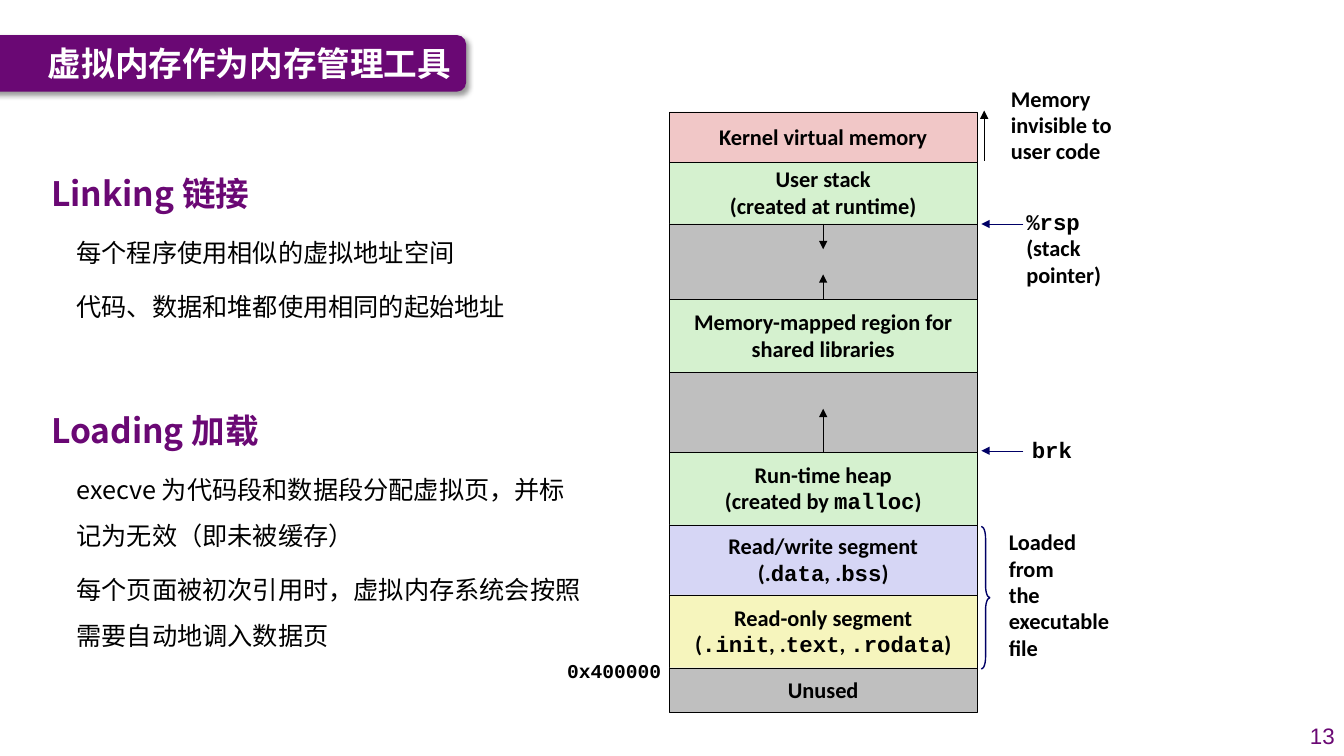
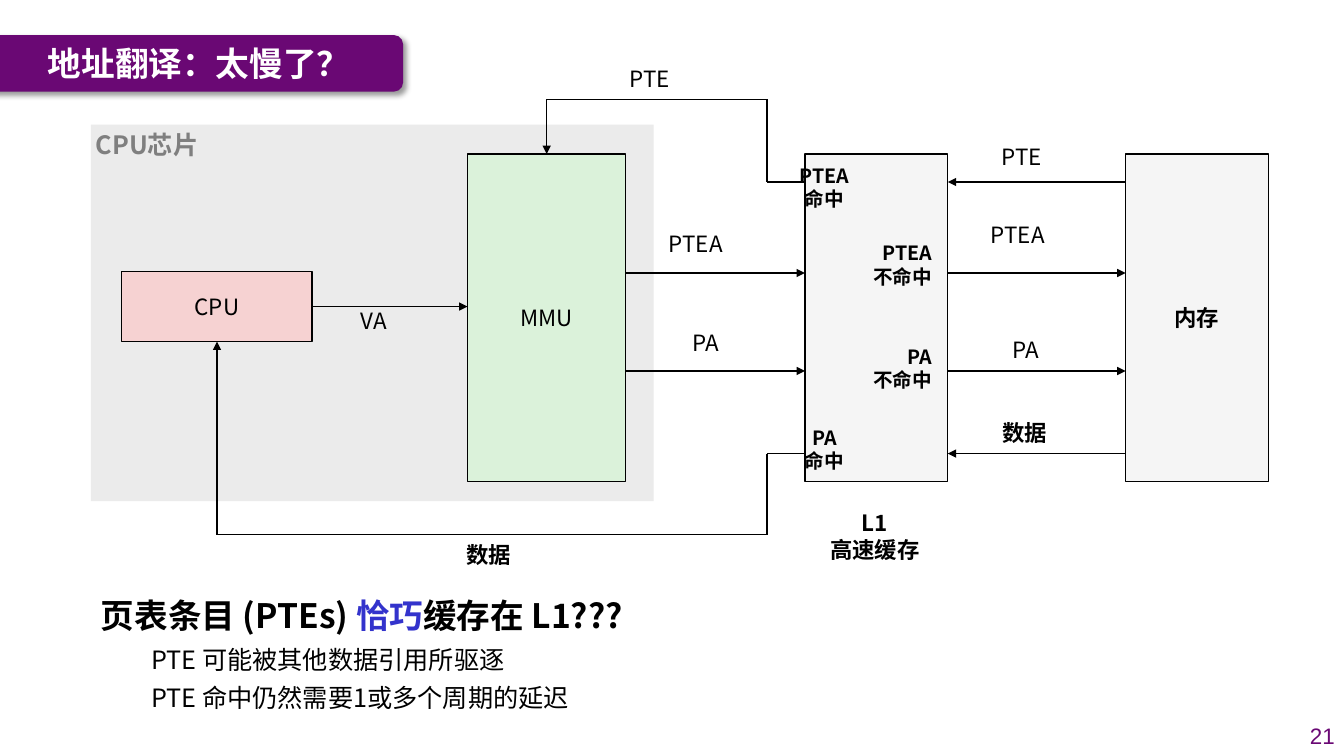
import itertools

import pptx
import pptx.dml.color
import pptx.enum.shapes
import pptx.enum.text
import pptx.oxml
import pptx.oxml.ns
import pptx.util
from lxml import etree

Pt = pptx.util.Pt
RGBColor = pptx.dml.color.RGBColor
qn = pptx.oxml.ns.qn
SHAPE = pptx.enum.shapes.MSO_SHAPE
STRAIGHT = pptx.enum.shapes.MSO_CONNECTOR.STRAIGHT
ALIGN = pptx.enum.text.PP_ALIGN
ANCHOR = pptx.enum.text.MSO_ANCHOR
TOP, LEFT, BOTTOM, RIGHT = range(4)

PURPLE = RGBColor(0x6A, 0x08, 0x74)
WHITE = RGBColor(0xFF, 0xFF, 0xFF)
BLACK = RGBColor(0, 0, 0)
NAVY = RGBColor(0, 0, 0x66)
BLUE = RGBColor(0x33, 0x33, 0xCC)
DARK_GREY = RGBColor(0x7F, 0x7F, 0x7F)
GREY = RGBColor(0xBF, 0xBF, 0xBF)
CHIP_GREY = RGBColor(0xEB, 0xEB, 0xEB)
PALE_GREY = RGBColor(0xF5, 0xF5, 0xF5)
PINK = RGBColor(0xF1, 0xC7, 0xC7)
PALE_PINK = RGBColor(0xF6, 0xD2, 0xD2)
GREEN = RGBColor(0xD5, 0xF1, 0xCF)
PALE_GREEN = RGBColor(0xDB, 0xF2, 0xDA)
LILAC = RGBColor(0xD6, 0xD6, 0xF5)
YELLOW = RGBColor(0xF6, 0xF5, 0xBD)

CJK, SANS, CODE, NUMBER = "Noto Sans CJK SC", "Calibri", "Courier New", "Arial"


def code(r):
    r.font.name = CODE


def highlight(r):
    r.font.color.rgb = BLUE


def write(p, text, size, font=CJK, bold=False, color=BLACK, align=ALIGN.LEFT,
          spacing=None, before=0, indent=0, mark=code):
    """Fill a paragraph; parts between backticks are formatted by mark."""
    p.alignment = align
    p.line_spacing = spacing
    p.space_before = Pt(before)
    pPr = p._p.get_or_add_pPr()
    pPr.set("marL", str(Pt(indent)))
    pPr.set("indent", "0")
    f = p.font
    f.name, f.size, f.bold = font, Pt(size), bold
    f.color.rgb = color
    etree.SubElement(pPr.find(qn("a:defRPr")), qn("a:ea"), typeface=font)
    for i, part in enumerate(text.split("`")):
        if part:
            r = p.add_run()
            r.text = part
            if i % 2:
                mark(r)


def write_lines(tf, text, size, **style):
    for i, line in enumerate(text.split("\n")):
        write(tf.add_paragraph() if i else tf.paragraphs[0], line, size, **style)


def add_text(slide, box, text, size, anchor=ANCHOR.TOP, **style):
    tf = slide.shapes.add_textbox(*map(Pt, box)).text_frame
    tf.word_wrap = True
    tf.vertical_anchor = anchor
    write_lines(tf, text, size, **style)


def add_label(slide, cx, cy, text, size=16, width=120, **style):
    """Text centred on a point, with tight fixed line spacing."""
    style = {"align": ALIGN.CENTER, "spacing": Pt(round(size * 1.19, 1)), **style}
    add_text(slide, (cx - width / 2, cy - 25, width, 50), text, size,
             anchor=ANCHOR.MIDDLE, **style)


def add_block(slide, box, fill, line=None, kind=SHAPE.RECTANGLE):
    sp = slide.shapes.add_shape(kind, *map(Pt, box))
    sp.shadow.inherit = False
    if fill is None:
        sp.fill.background()
    else:
        sp.fill.solid()
        sp.fill.fore_color.rgb = fill
    if line is None:
        sp.line.fill.background()
    else:
        sp.line.width = Pt(line)
        sp.line.color.rgb = BLACK
    sp.text_frame.word_wrap = False
    sp.text_frame.vertical_anchor = ANCHOR.MIDDLE
    return sp


def add_line(slide, start, end, color=BLACK, width=1, arrow=True,
             begin=None, finish=None):
    """Straight line; begin and finish are (shape, side) pairs to join."""
    cxn = slide.shapes.add_connector(STRAIGHT, *map(Pt, (*start, *end)))
    cxn.line.width = Pt(width)
    cxn.line.color.rgb = color
    spPr = cxn._element.spPr
    if arrow:
        etree.SubElement(spPr.find(qn("a:ln")), qn("a:tailEnd"), type="triangle")
    etree.SubElement(spPr, qn("a:effectLst"))
    if begin:
        cxn.begin_connect(*begin)
    if finish:
        cxn.end_connect(*finish)


def add_route(slide, points, finish):
    """Right-angled path whose last leg is an arrow joined to a shape."""
    legs = list(itertools.pairwise(points))
    for start, end in legs[:-1]:
        add_line(slide, start, end, arrow=False)
    add_line(slide, *legs[-1], finish=finish)


def add_band_shadow(sp):
    effects = sp._element.spPr.find(qn("a:effectLst"))
    shadow = etree.SubElement(effects, qn("a:outerShdw"), blurRad=str(Pt(4)),
                              dist=str(Pt(3)), dir="2700000", algn="tl", rotWithShape="0")
    color = etree.SubElement(shadow, qn("a:srgbClr"), val="000000")
    etree.SubElement(color, qn("a:alpha"), val="40000")


def new_slide(prs, title, band_width, number):
    """Title-only slide with its purple title band and page number."""
    slide = prs.slides.add_slide(prs.slide_layouts[5])
    band = add_block(slide, (-14, 25, band_width + 14, 40.5), PURPLE,
                     kind=SHAPE.ROUNDED_RECTANGLE)
    add_band_shadow(band)
    slide.shapes._spTree.insert(2, band._element)
    ph = slide.shapes.title
    ph.left, ph.top, ph.width, ph.height = map(Pt, (27, 25, band_width - 27, 40))
    tf = ph.text_frame
    tf.auto_size = pptx.enum.text.MSO_AUTO_SIZE.NONE
    tf.vertical_anchor = ANCHOR.MIDDLE
    write(tf.paragraphs[0], title, 24, bold=True, color=WHITE, spacing=Pt(29))
    add_text(slide, (921, 511, 39.5, 29), number, 16, anchor=ANCHOR.MIDDLE,
             font=NUMBER, color=PURPLE, align=ALIGN.RIGHT)
    return slide


def add_outline(slide, box, sections, color, indent, leading, gap=0):
    """Bold headings, each followed by indented points."""
    tf = slide.shapes.add_textbox(*map(Pt, box)).text_frame
    tf.word_wrap = True
    for i, (heading, points) in enumerate(sections):
        write(tf.add_paragraph() if i else tf.paragraphs[0], heading, 24, bold=True,
              color=color, spacing=Pt(leading * 4 / 3), before=gap if i else 0,
              mark=highlight)
        for point in points:
            write(tf.add_paragraph(), point, 18, spacing=Pt(leading), before=5.6,
                  indent=indent)


def add_memory_map(slide, x, y, width):
    bold = {"font": SANS, "bold": True, "spacing": 0.98}
    segments = [
        ("kernel", 36, PINK, "Kernel virtual memory"),
        ("stack", 44, GREEN, "User stack\n(created at runtime)"),
        ("stack gap", 54, GREY, ""),
        ("mapped", 52, GREEN, "Memory-mapped region for\nshared libraries"),
        ("heap gap", 57, GREY, ""),
        ("heap", 52, GREEN, "Run-time heap\n(created by `malloc`)"),
        ("data", 50, LILAC, "Read/write segment\n(.`data`, .`bss`)"),
        ("code", 52, YELLOW, "Read-only segment\n(`.init`, .`text`, `.rodata`)"),
        ("unused", 32, GREY, "Unused"),
    ]
    blocks, tops, top = {}, {}, y
    for name, height, fill, text in segments:
        sp = add_block(slide, (x, top, width, height), fill, line=0.25)
        if text:
            write_lines(sp.text_frame, text, 16, align=ALIGN.CENTER, **bold)
        blocks[name], tops[name] = sp, top
        top += height

    middle, right = x + width / 2, x + width
    for name, side, start, reach in (("stack", BOTTOM, tops["stack gap"], 18),
                                     ("mapped", TOP, tops["mapped"], -18),
                                     ("heap", TOP, tops["heap"], -31)):
        add_line(slide, (middle, start), (middle, start + reach), width=0.25,
                 begin=(blocks[name], side))
    add_line(slide, (right + 5, tops["stack"] - 1), (right + 5, y - 1), width=0.25)
    for level in (tops["stack gap"], tops["heap"] - 1):
        add_line(slide, (right + 33, level), (right + 3, level), NAVY, 0.25)
    brace = add_block(slide, (right + 3, tops["data"] + 1, 6, 102), None,
                      line=1, kind=SHAPE.RIGHT_BRACE)
    brace.line.color.rgb = NAVY
    brace.adjustments[0] = 1.42

    for dx, top, text, size in (
            (17, y - 22, "Memory\ninvisible to\nuser code", 16),
            (28, tops["stack gap"] - 14, "`%rsp`\n(stack\npointer)", 16),
            (32, tops["heap"] - 14, "`brk`", 16),
            (15.5, tops["data"], "Loaded\nfrom\nthe\nexecutable\nfile", 16),
            (-300, tops["unused"] - 9, "`0x400000`", 14)):
        add_text(slide, (right + dx, top, 100, 30), text, size, **bold)


def add_translation_diagram(slide, x, y):
    def at(dx, dy):
        return x + dx, y + dy

    add_block(slide, (*at(0, 39), 402, 269), CHIP_GREY)
    units = []
    for dx, dy, width, height, fill, text, bold in (
            (22, 144, 136, 50, PALE_PINK, "CPU", False),
            (269, 60, 113, 234, PALE_GREEN, "MMU", False),
            (510, 60, 102, 234, PALE_GREY, "", False),
            (739, 60, 102, 234, PALE_GREY, "内存", True)):
        sp = add_block(slide, (*at(dx, dy), width, height), fill, line=1)
        if text:
            write_lines(sp.text_frame, text, 16, bold=bold, align=ALIGN.CENTER,
                        spacing=Pt(19))
        units.append(sp)
    cpu, mmu = units[:2]

    pte_row, ptea_row, pa_row, data_row = 80, 145, 215, 274
    add_line(slide, at(158, 169), at(269, 169), begin=(cpu, RIGHT))
    for start, end, row in ((382, 510, ptea_row), (382, 510, pa_row),
                            (612, 739, ptea_row), (612, 739, pa_row),
                            (739, 612, pte_row), (739, 612, data_row)):
        add_line(slide, at(start, row), at(end, row))
    for row, turn, target, tip, finish in (
            (pte_row, 21, 325.5, 60, (mmu, TOP)),
            (data_row, 332, 90, 194, (cpu, BOTTOM))):
        add_route(slide, [at(510, row), at(483, row), at(483, turn),
                          at(target, turn), at(target, tip)], finish)

    for dx, dy, text in ((202, 179, "VA"), (432, 124, "PTEA"), (399, 6, "PTE"),
                         (439, 195, "PA"), (665, 62, "PTE"), (662, 118, "PTEA"),
                         (668, 200, "PA")):
        add_label(slide, *at(dx, dy), text)
    for dx, dy, text in ((667, 259, "数据"), (284, 346, "数据"),
                         (560, 333, "L1\n高速缓存")):
        add_label(slide, *at(dx, dy), text, bold=True)
    for dx, dy, text, align in ((524, 84, "PTEA\n命中", ALIGN.CENTER),
                                (524, 271, "PA\n命中", ALIGN.CENTER),
                                (568, 139, "PTEA\n不命中", ALIGN.RIGHT),
                                (568, 213, "PA\n不命中", ALIGN.RIGHT)):
        add_label(slide, *at(dx, dy), text, 14, width=80, bold=True, align=align)
    add_label(slide, *at(40, 53), "CPU芯片", 18, bold=True, color=DARK_GREY)


def main():
    prs = pptx.Presentation()
    prs.slide_width, prs.slide_height = Pt(960), Pt(540)

    slide = new_slide(prs, "虚拟内存作为内存管理工具", 333, "13")
    add_outline(slide, (29.5, 105, 397, 376), [
        ("Linking 链接", ["每个程序使用相似的虚拟地址空间",
                        "代码、数据和堆都使用相同的起始地址"]),
        ("Loading 加载", ["execve 为代码段和数据段分配虚拟页，并标记为无效（即未被缓存）",
                        "每个页面被初次引用时，虚拟内存系统会按照需要自动地调入数据页"]),
    ], PURPLE, indent=18, leading=33, gap=48)
    add_memory_map(slide, 478, 80, 220)

    slide = new_slide(prs, "地址翻译：太慢了？", 288, "21")
    add_translation_diagram(slide, 65, 50)
    add_outline(slide, (65, 421, 488, 92), [
        ("页表条目 (PTEs) `恰巧`缓存在 L1???", ["PTE 可能被其他数据引用所驱逐",
                                          "PTE 命中仍然需要1或多个周期的延迟"]),
    ], BLACK, indent=36, leading=22)

    prs.save("out.pptx")


if __name__ == "__main__":
    main()
